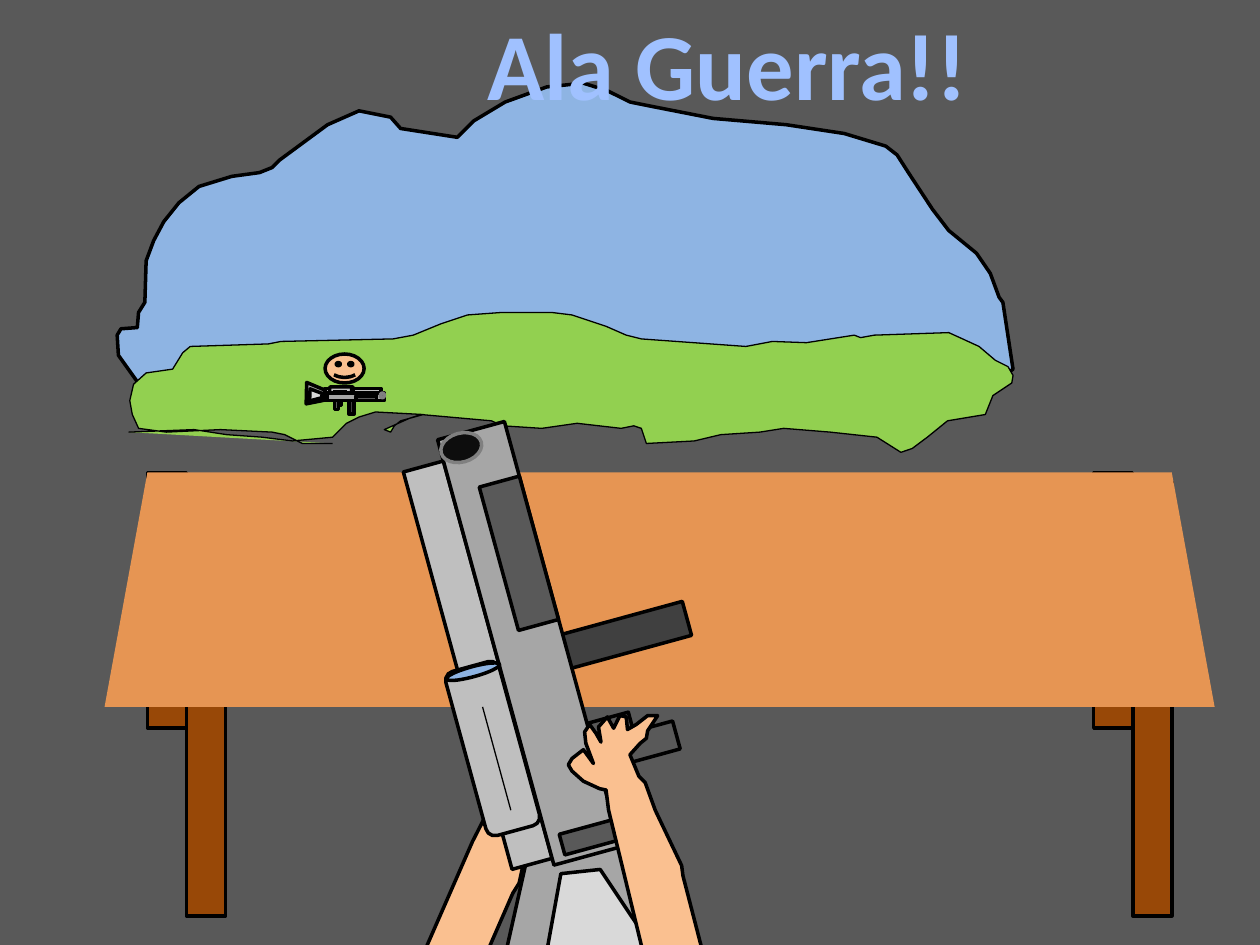
from dataclasses import dataclass
from math import cos, radians, sin

from lxml.etree import SubElement
from pptx import Presentation
from pptx.dml.color import RGBColor
from pptx.enum.shapes import MSO_CONNECTOR, MSO_SHAPE
from pptx.enum.text import MSO_AUTO_SIZE, PP_ALIGN
from pptx.oxml.ns import qn
from pptx.util import Inches, Pt

COLUMNS, ROWS = 10, 7.5  # grid cells of one inch


@dataclass(frozen=True)
class Theme:
    wall: str = "595959"
    ink: str = "000000"
    sky: str = "8EB4E3"
    grass: str = "92D050"
    wood: str = "984807"
    table_top: str = "E69553"
    skin: str = "FAC090"
    steel: str = "A6A6A6"
    silver: str = "BFBFBF"
    pale: str = "D9D9D9"
    iron: str = "404040"
    bore: str = "0D0D0D"
    rim: str = "808080"
    title: str = "A0C1FF"
    font: str = "Calibri"
    title_size: int = 54
    thick: float = 2
    thin: float = 0.75


@dataclass(frozen=True)
class Box:
    left: float
    top: float
    width: float
    height: float


THEME = Theme()

CLOUD = """1.31,3.25 2.4,3.34 2.82,3.28 3.49,3.16 5.01,3.3 5.7,3.27 7.19,3.34 7.91,3.03
8.04,2.93 7.96,2.4 7.93,2.36 7.86,2.17 7.75,2.01 7.53,1.83 7.4,1.66 7.21,1.37 7.12,1.23 7.03,1.16 6.7,1.06
6.24,0.99 5.66,0.94 5.15,0.84 5,0.81 4.82,0.72 4.63,0.66 4.34,0.69 4.01,0.81 3.76,0.96 3.63,1.09 3.18,1.02
3.1,0.93 2.85,0.88 2.6,0.99 2.22,1.27 2.16,1.33 2.06,1.37 1.84,1.4 1.58,1.48 1.42,1.61 1.3,1.76 1.22,1.91
1.16,2.07 1.15,2.4 1.1,2.48 1.09,2.6 0.96,2.61 0.93,2.66 0.94,2.82 1.09,3.03 1.22,3.12 1.31,3.25"""
MEADOW = """1.02,3.43 1.54,3.41 1.8,3.45 2.08,3.47 2.32,3.5 2.64,3.47 2.75,3.36 2.85,3.31 2.98,3.27 3.36,3.29
3.18,3.34 3.13,3.38 3.1,3.43 3.05,3.41 3.25,3.32 3.34,3.29 3.9,3.34 3.99,3.38 4.3,3.4 4.58,3.36 4.93,3.4
5.03,3.38 5.09,3.4 5.13,3.52 5.51,3.5 5.72,3.45 6.03,3.43 6.22,3.4 6.59,3.43 6.96,3.47 7.15,3.59 7.24,3.56
7.36,3.47 7.52,3.34 7.82,3.29 7.88,3.14 8.03,3.04 8.04,2.98 8,2.91 7.9,2.86 7.77,2.75 7.64,2.69 7.53,2.64
6.94,2.66 6.83,2.68 6.78,2.66 6.4,2.72 6.13,2.71 5.92,2.75 5.09,2.69 4.97,2.66 4.81,2.59 4.54,2.5 4.38,2.48
3.98,2.48 3.71,2.5 3.5,2.57 3.28,2.66 3.12,2.69 2.23,2.71 2.13,2.73 1.51,2.75 1.45,2.8 1.37,2.93 1.16,2.96
1.06,3.05 1.03,3.18 1.05,3.29 1.1,3.4 1.32,3.43 1.75,3.41 2.16,3.43 2.26,3.45 2.4,3.52 2.64,3.52"""
LEFT_ARM = """4.03,6.13 3.99,6.09 3.91,5.82 3.92,5.76 4.09,5.74 4.09,5.81 4.07,5.89 4.26,5.6 4.24,5.77 4.3,5.66
4.41,5.64 4.49,5.69 4.53,5.73 4.47,5.82 4.66,5.83 4.72,5.88 4.59,5.94 4.35,6 4.31,6.26 4.23,6.51 4.12,7.01
4.07,7.09 3.73,7.87 3.71,7.81 3.33,7.64 3.75,6.68 4.03,6.13"""
RIGHT_ARM = """4.81,6.27 4.76,6.26 4.63,6.2 4.54,6.12 4.51,6.07 4.54,6.02 4.63,5.95 4.71,6.06 4.65,5.9 4.64,5.81
4.68,5.75 4.73,5.82 4.77,5.89 4.75,5.77 4.82,5.69 4.87,5.78 4.92,5.68 4.97,5.69 4.98,5.79 5.05,5.75 5.14,5.68
5.22,5.68 5.14,5.8 5.13,5.86 5.08,5.9 5,5.99 5.07,6.16 5.12,6.21 5.2,6.43 5.41,6.87 5.42,6.95 5.62,7.72
5.57,7.7 5.16,7.79 4.93,6.84 4.83,6.43 4.81,6.27"""


def read_points(text, box):
    pairs = (pair.split(",") for pair in text.split())
    return [(box.left + float(x), box.top + float(y)) for x, y in pairs]


def spin(point, angle):
    """Turn a point clockwise about the origin."""
    x, y = point
    c, s = cos(radians(angle)), sin(radians(angle))
    return x * c - y * s, x * s + y * c


def paint(shape, fill, line=THEME.ink, weight=THEME.thick):
    shape.shadow.inherit = False
    if fill:
        shape.fill.solid()
        shape.fill.fore_color.rgb = RGBColor.from_string(fill)
    else:
        shape.fill.background()
    if line:
        shape.line.color.rgb = RGBColor.from_string(line)
        shape.line.width = Pt(weight)
    else:
        shape.line.fill.background()
    return shape


def add_preset(page, kind, box, fill, turn=0, **style):
    shape = page.shapes.add_shape(kind, *map(Inches, (box.left, box.top, box.width, box.height)))
    shape.rotation = turn
    return paint(shape, fill, **style)


def add_outline(page, points, fill, turn=0, closed=True, **style):
    """Draw points as they lie on the page, held in a frame turned by an angle."""
    level = [spin(point, -turn) for point in points]
    middle = [(min(axis) + max(axis)) / 2 for axis in zip(*level)]
    shift = [a - b for a, b in zip(spin(middle, turn), middle)]
    start, *rest = [(Inches(x + shift[0]), Inches(y + shift[1])) for x, y in level]
    builder = page.shapes.build_freeform(*start)
    builder.add_line_segments(rest, close=closed)
    shape = paint(builder.convert_to_shape(), fill, **style)
    shape.rotation = turn


def add_landscape(page, box):
    add_outline(page, read_points(CLOUD, box), THEME.sky)
    add_outline(page, read_points(MEADOW, box), THEME.grass, closed=False, weight=THEME.thin)


def add_table_furniture(page, box):
    leg, inset = 0.31, 0.34
    for left in (box.left + inset, box.left + box.width - inset - 2 * leg):
        add_preset(page, MSO_SHAPE.RECTANGLE, Box(left, box.top, leg, 2.03), THEME.wood)
        add_preset(page, MSO_SHAPE.RECTANGLE, Box(left + leg, box.top + 0.08, leg, box.height - 0.08), THEME.wood)
    depth = 1.86
    top = add_preset(page, MSO_SHAPE.TRAPEZOID, Box(box.left, box.top, box.width, depth), THEME.table_top, line=None)
    top.adjustments[0] = inset / depth


def add_rifle(page, box, turn=0):
    """Fit a rifle to the box of its body; the parts are laid out for a 3.5 by 0.55 body."""
    across, down = box.width / 3.5, box.height / 0.55
    centre = box.left + box.width / 2, box.top + box.height / 2

    def locate(x, y):
        dx, dy = spin((x * across, y * down), turn)
        return centre[0] + dx, centre[1] + dy

    def part(kind, x, y, width, height, fill, line=THEME.ink):
        mid_x, mid_y = locate(x, y)
        width, height = width * across, height * down
        add_preset(page, kind, Box(mid_x - width / 2, mid_y - height / 2, width, height), fill, turn, line=line)

    stock = [(-2.74, -1.05), (-2.77, 0.51), (-1.7, 0.24), (-1.63, -0.46)]
    cheek = [(-2.54, -0.58), (-2.57, 0.3), (-1.88, 0.07), (-1.83, -0.24)]
    for corners, fill in ((stock, THEME.steel), (cheek, THEME.pale)):
        add_outline(page, [locate(*corner) for corner in corners], fill, turn)
    bar, oval = MSO_SHAPE.RECTANGLE, MSO_SHAPE.OVAL
    part(bar, -0.14, 0.49, 0.28, 1.54, THEME.iron)  # magazine
    part(bar, -1.01, 0.44, 0.23, 0.99, THEME.wall)  # grip
    part(bar, -0.06, -0.44, 3.27, 0.33, THEME.silver)  # barrel
    part(bar, 0, 0, 3.5, 0.55, THEME.steel)  # body
    part(bar, -0.82, 0.45, 0.17, 0.33, None)  # trigger guard
    part(MSO_SHAPE.ROUNDED_RECTANGLE, -0.73, -0.5, 1.35, 0.44, THEME.silver)  # scope
    part(oval, -0.1, -0.49, 0.08, 0.44, THEME.sky)  # lens
    part(oval, 1.64, -0.11, 0.23, 0.33, THEME.bore, THEME.rim)  # muzzle
    ends = [Inches(value) for x in (-1.24, -0.39) for value in locate(x, -0.49)]
    seam = page.shapes.add_connector(MSO_CONNECTOR.STRAIGHT, *ends)
    seam.line.color.rgb = RGBColor.from_string(THEME.ink)
    seam.line.width = Pt(THEME.thin)
    SubElement(seam._element.spPr, qn("a:effectLst"))
    part(bar, 0.71, 0.11, 1.18, 0.33, THEME.wall)  # upper slot
    part(bar, -1.61, 0.05, 0.17, 0.44, THEME.wall)  # rear slot


def add_soldier(page, box):
    add_preset(page, MSO_SHAPE.SMILEY_FACE, Box(box.left + 0.15, box.top, 0.31, 0.23), THEME.skin)
    add_rifle(page, Box(box.left + 0.14, box.top + 0.31, 0.48, 0.06))


def add_shooter(page, box):
    add_outline(page, read_points(LEFT_ARM, box), THEME.skin, 22.3)
    add_rifle(page, Box(box.left + 2.45, box.top + 4.83, 3.5, 0.55), 254.7)
    add_outline(page, read_points(RIGHT_ARM, box), THEME.skin, 344.2)


def add_text(page, text, box, *, size, color, bold=False, align=PP_ALIGN.CENTER):
    frame = page.shapes.add_textbox(*map(Inches, (box.left, box.top, box.width, box.height))).text_frame
    frame.word_wrap = False
    frame.auto_size = MSO_AUTO_SIZE.SHAPE_TO_FIT_TEXT
    para = frame.paragraphs[0]
    para.alignment = align
    span = para.add_run()
    span.text = text
    span.font.name, span.font.size, span.font.bold = THEME.font, Pt(size), bold
    span.font.color.rgb = RGBColor.from_string(color)


def main():
    deck = Presentation()
    deck.slide_width, deck.slide_height = Inches(COLUMNS), Inches(ROWS)
    page = deck.slides.add_slide(deck.slide_layouts[6])
    page.background.fill.solid()
    page.background.fill.fore_color.rgb = RGBColor.from_string(THEME.wall)
    whole = Box(0, 0, COLUMNS, ROWS)
    add_landscape(page, whole)
    add_table_furniture(page, Box(0.83, 3.75, 8.81, 3.52))
    add_soldier(page, Box(2.43, 2.81, 0.62, 0.47))
    add_text(page, "Ala Guerra!!", Box(3.74, 0, 4.07, 1.01), size=THEME.title_size, color=THEME.title, bold=True)
    add_shooter(page, whole)
    deck.save("out.pptx")


if __name__ == "__main__":
    main()
